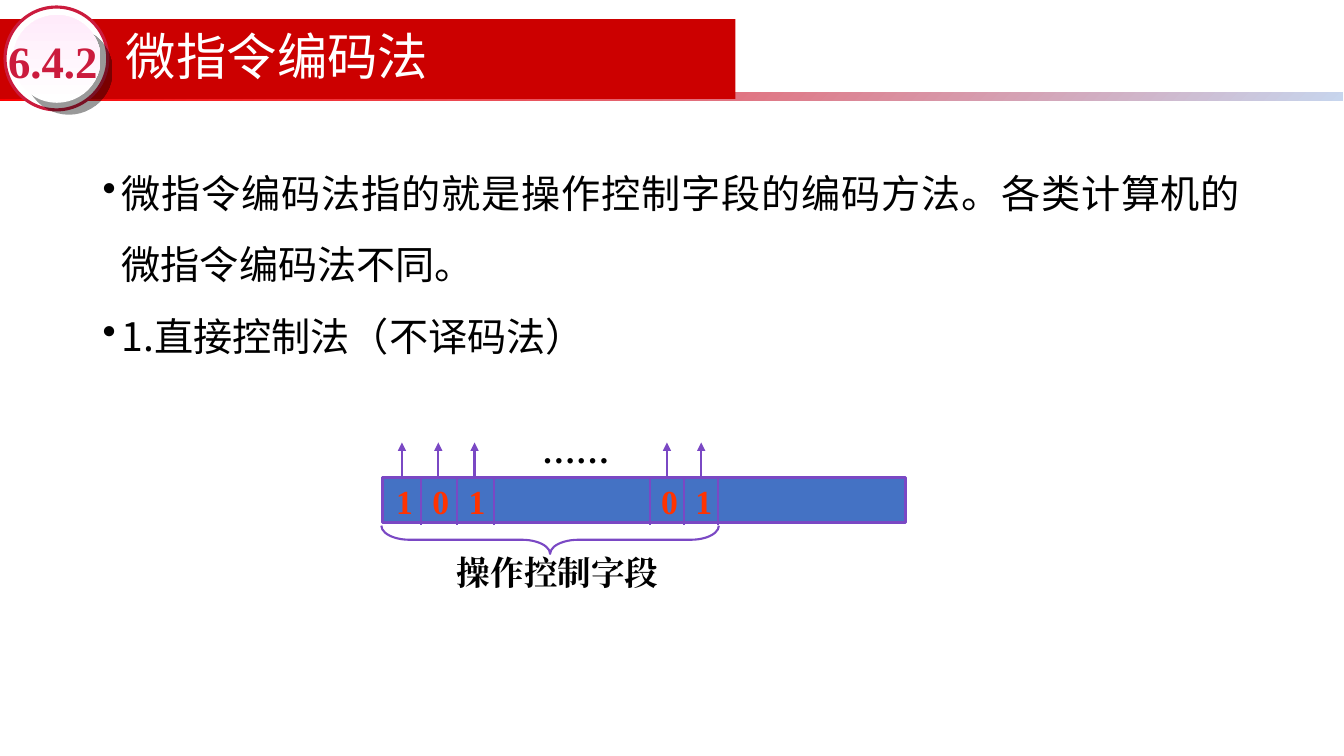
from dataclasses import dataclass

from lxml.etree import SubElement
from pptx import Presentation
from pptx.dml.color import RGBColor
from pptx.enum.shapes import MSO_CONNECTOR, MSO_SHAPE
from pptx.enum.text import MSO_ANCHOR, PP_ALIGN
from pptx.oxml import parse_xml
from pptx.oxml.ns import nsdecls, qn
from pptx.util import Inches, Pt

TITLE = "微指令编码法"
SECTION = "6.4.2"
BODY = [
    "微指令编码法指的就是操作控制字段的编码方法。各类计算机的微指令编码法不同。",
    "1.直接控制法（不译码法）",
]
FIELD_LABEL = "操作控制字段"
ELLIPSIS = "……"
# bits, first arrow x, first divider x, number of dividers, pitch
BIT_GROUPS = [
    ("101", 3.99, 4.18, 3, 0.36),
    ("01", 6.62, 6.45, 3, 0.34),
]
REGISTER = (3.8, 4.74, 5.19, 0.44)
ARROW_TOP, DIVIDER_BOTTOM = 4.39, 5.21


@dataclass(frozen=True)
class Theme:
    banner: str = "CC0000"
    bar: tuple = ("FF0000", "C7D5ED")
    disc: tuple = ("FFFFFF", "FFEBFA")
    badge: str = "CB1B3D"
    white: str = "FFFFFF"
    text: str = "000000"
    register: str = "4472C4"
    line: str = "7A48C4"
    bit: str = "FF3300"
    sans: str = "Noto Sans CJK SC"
    serif: str = "Times New Roman"
    title_size: int = 36
    section_size: int = 32
    body_size: int = 28
    label_size: int = 24


THEME = Theme()


def rgb(value):
    return RGBColor.from_string(value)


def write_text(shape, lines, *, size, color, font, bold=False, align=PP_ALIGN.LEFT,
               anchor=MSO_ANCHOR.TOP, spacing=None, bullet=False, margins=(0.1, 0.05)):
    frame = shape.text_frame
    frame.word_wrap = True
    frame.vertical_anchor = anchor
    frame.margin_left = frame.margin_right = Inches(margins[0])
    frame.margin_top = frame.margin_bottom = Inches(margins[1])
    for index, line in enumerate(lines):
        paragraph = frame.paragraphs[0] if index == 0 else frame.add_paragraph()
        paragraph.alignment = align
        paragraph.line_spacing = spacing
        if bullet:
            properties = paragraph._p.get_or_add_pPr()
            properties.set("marL", str(Inches(0.19)))
            properties.set("indent", str(-Inches(0.19)))
            SubElement(properties, qn("a:buChar")).set("char", "•")
        run = paragraph.add_run()
        run.text = line
        run.font.size = Pt(size)
        run.font.bold = bold
        run.font.color.rgb = rgb(color)
        run.font.name = font
        SubElement(run._r.get_or_add_rPr(), qn("a:ea")).set("typeface", font)


def add_text(slide, box, lines, **text_format):
    shape = slide.shapes.add_textbox(*map(Inches, box))
    write_text(shape, lines, **text_format)


def add_panel(slide, kind, box, *, fill=None, angle=0, line=None, width=2.25):
    """Add a preset shape; a pair of fill colours makes a gradient."""
    shape = slide.shapes.add_shape(kind, *map(Inches, box))
    shape.shadow.inherit = False
    if fill is None:
        shape.fill.background()
    elif isinstance(fill, tuple):
        shape.fill.gradient()
        shape.fill.gradient_angle = angle
        for stop, color in zip(shape.fill.gradient_stops, fill):
            stop.color.rgb = rgb(color)
    else:
        shape.fill.solid()
        shape.fill.fore_color.rgb = rgb(fill)
    if line is None:
        shape.line.fill.background()
    else:
        shape.line.color.rgb = rgb(line)
        shape.line.width = Pt(width)
    return shape


def add_vertical(slide, x, start, end, arrow=False):
    connector = slide.shapes.add_connector(
        MSO_CONNECTOR.STRAIGHT, Inches(x), Inches(start), Inches(x), Inches(end))
    connector.line.color.rgb = rgb(THEME.line)
    connector.line.width = Pt(1.5)
    if arrow:
        SubElement(connector.line._get_or_add_ln(), qn("a:tailEnd")).set("type", "triangle")
    SubElement(connector._element.spPr, qn("a:effectLst"))


def add_drop_shadow(shape):
    effects = shape._element.spPr.find(qn("a:effectLst"))
    effects.append(parse_xml(
        f'<a:outerShdw {nsdecls("a")} dist="{Pt(12.1)}" dir="2700000" algn="ctr" rotWithShape="0">'
        '<a:srgbClr val="000000"><a:alpha val="40000"/></a:srgbClr></a:outerShdw>'))


def add_header(slide):
    add_panel(slide, MSO_SHAPE.RECTANGLE, (0, 0.92, 13.33, 0.08), fill=THEME.bar, angle=315)
    add_panel(slide, MSO_SHAPE.RECTANGLE, (0, 0.19, 7.3, 0.79), fill=THEME.banner)
    add_panel(slide, MSO_SHAPE.OVAL, (0.05, 0.07, 1.02, 1.02), fill=THEME.white, line=THEME.badge)
    disc = add_panel(slide, MSO_SHAPE.OVAL, (0.13, 0.15, 0.87, 0.87), fill=THEME.disc, angle=90)
    add_drop_shadow(disc)

    title = slide.shapes.title
    title.left, title.top, title.width, title.height = map(Inches, (1.15, 0.18, 7.44, 0.82))
    write_text(title, [TITLE], size=THEME.title_size, color=THEME.white, font=THEME.sans,
               anchor=MSO_ANCHOR.MIDDLE, spacing=0.9)
    title._element.getparent().append(title._element)  # bring in front of the banner
    add_text(slide, (0.08, 0.33, 0.93, 0.54), [SECTION], size=THEME.section_size,
             color=THEME.badge, font=THEME.serif, bold=True,
             anchor=MSO_ANCHOR.MIDDLE, margins=(0, 0))


def add_register(slide):
    label = dict(size=THEME.label_size, font=THEME.serif, bold=True, align=PP_ALIGN.CENTER)
    top = REGISTER[1]
    add_panel(slide, MSO_SHAPE.RECTANGLE, REGISTER, fill=THEME.register, line=THEME.line)
    for bits, first_arrow, first_divider, dividers, pitch in BIT_GROUPS:
        for index in range(dividers):
            add_vertical(slide, first_divider + index * pitch, top, DIVIDER_BOTTOM)
        for index, bit in enumerate(bits):
            x = first_arrow + index * pitch
            add_vertical(slide, x, top, ARROW_TOP, arrow=True)
            add_text(slide, (x - 0.39, 4.72, 0.83, 0.5), [bit], color=THEME.bit, **label)

    brace = add_panel(slide, MSO_SHAPE.RIGHT_BRACE, (5.32, 3.68, 0.28, 3.35),
                      line=THEME.line, width=1.5)
    brace.rotation = 90
    brace.adjustments[0] = 1
    brace.adjustments[1] = 0.5
    add_text(slide, (5.12, 4.22, 1.19, 0.5), [ELLIPSIS], color=THEME.text, **label)
    add_text(slide, (4.39, 5.43, 2.29, 0.5), [FIELD_LABEL], color=THEME.text, **label)


def main():
    presentation = Presentation()
    presentation.slide_width, presentation.slide_height = Inches(13.34), Inches(7.5)
    slide = presentation.slides.add_slide(presentation.slide_layouts[5])
    add_header(slide)
    add_text(slide, (0.92, 1.39, 11.5, 5.44), BODY, size=THEME.body_size, color=THEME.text,
             font=THEME.sans, align=PP_ALIGN.JUSTIFY, spacing=Pt(51), bullet=True)
    add_register(slide)
    presentation.save("out.pptx")


if __name__ == "__main__":
    main()
